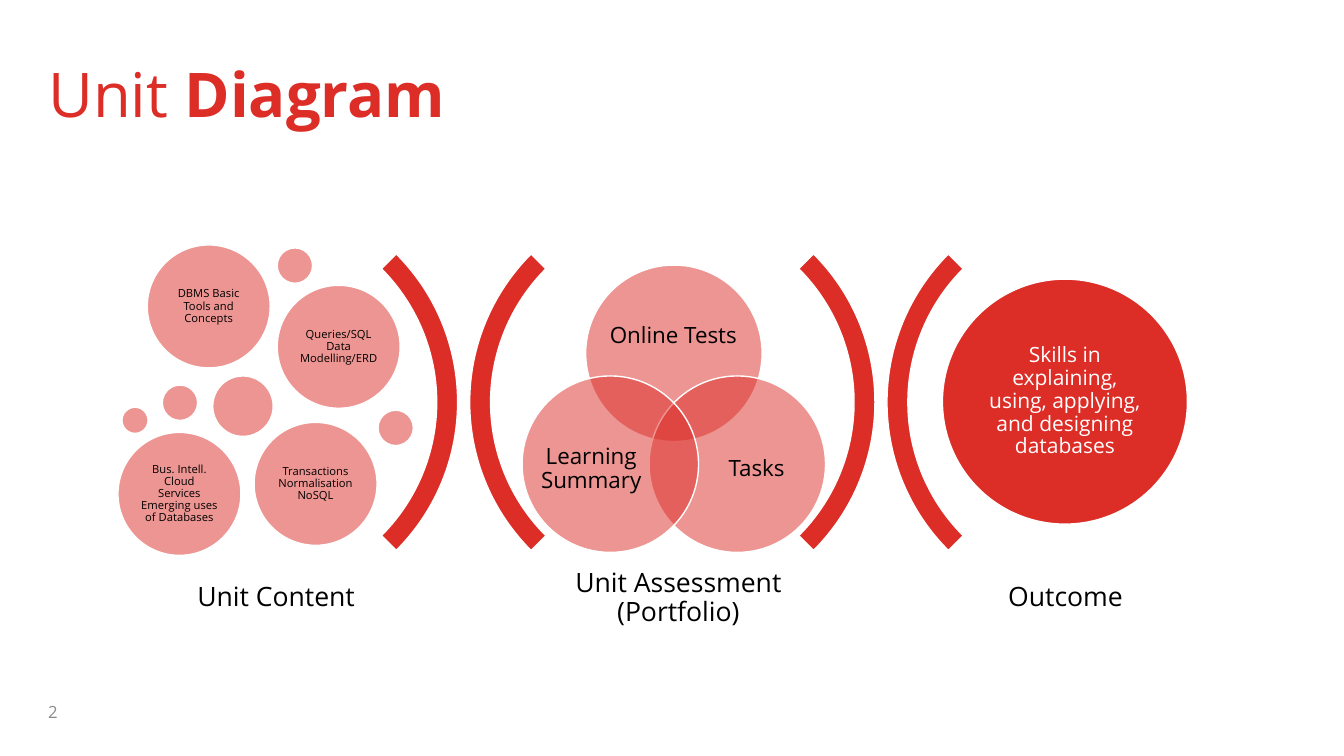
from dataclasses import dataclass

from lxml import etree
from pptx import Presentation
from pptx.dml.color import RGBColor
from pptx.enum.shapes import MSO_SHAPE as Preset
from pptx.enum.text import MSO_ANCHOR as Anchor, MSO_AUTO_SIZE as AutoSize, PP_ALIGN as Align
from pptx.oxml.ns import qn
from pptx.util import Inches, Pt

RED, BLACK, WHITE, GREY = "DC2D27", "000000", "FFFFFF", "8C8C8C"
FONT = "Open Sans"
TITLE_ONLY = 5
SLIDE_WIDTH, SLIDE_HEIGHT = Inches(13.333), Inches(7.5)


@dataclass
class Box:
    """A rectangle in percent of the slide's width (left, width) and height (top, height)."""
    left: float
    top: float
    width: float
    height: float


@dataclass
class Circle:
    """A circle with its centre in percent of the slide, its diameter in percent of its width."""
    x: float
    y: float
    diameter: float
    text: str = ""
    size: float = 8
    inset: float = 0.03
    text_color: str = BLACK
    opacity: int = 50


@dataclass
class Caption:
    text: str
    box: Box
    size: float
    inset: float = 0


@dataclass
class Bracket:
    x: float
    rotation: int


BRACKET_Y, BRACKET_DIAMETER = 53.2, 31.2
BRACKETS = [Bracket(18.45, 90), Bracket(50.55, 270), Bracket(49.5, 90), Bracket(81.6, 270)]

STAGES = [
    Caption(text, Box(left, 73.6, 23.7, 11.07), 19, 0.08)
    for text, left in [("Unit Content", 8.7), ("Unit Assessment (Portfolio)", 38.63), ("Outcome", 67.43)]
]

VENN_DIAMETER = 13.13
ASSESSMENT = [
    (Circle(50.14, 46.73, VENN_DIAMETER), Caption("Online Tests", Box(45.3, 39.2, 9.6, 10.53), 16)),
    (Circle(54.86, 61.4, VENN_DIAMETER), Caption("Tasks", Box(52.35, 55.73, 7.88, 12.8), 16)),
    (Circle(45.41, 61.4, VENN_DIAMETER), Caption("Learning Summary", Box(40.05, 55.73, 7.88, 12.8), 16)),
]

TOPIC, SMALL, MEDIUM, TINY = 9.15, 2.63, 4.5, 1.95
CONTENT = [
    Circle(15.53, 40.53, TOPIC, "DBMS Basic Tools and Concepts"),
    Circle(25.2, 45.87, TOPIC, "Queries/SQL\nData Modelling/ERD"),
    Circle(13.35, 65.33, TOPIC, "Bus. Intell.\nCloud\nServices Emerging uses of Databases"),
    Circle(23.48, 64, TOPIC, "Transactions\nNormalisation\nNoSQL"),
    Circle(13.39, 53.27, SMALL),
    Circle(21.94, 35.13, SMALL),
    Circle(29.44, 56.6, SMALL),
    Circle(18.08, 53.73, MEDIUM),
    Circle(10.05, 55.6, TINY),
]
OUTCOME = Circle(79.24, 53.13, 18.23, "Skills in explaining, using, applying, and designing databases",
                 15, 0.06, WHITE, 100)


def color(value: str) -> RGBColor:
    return RGBColor.from_string(value)


def across(percent: float) -> int:
    return round(SLIDE_WIDTH * percent / 100)


def down(percent: float) -> int:
    return round(SLIDE_HEIGHT * percent / 100)


def place(box: Box) -> tuple[int, int, int, int]:
    return across(box.left), down(box.top), across(box.width), down(box.height)


def style_run(run, size: float, text_color: str, bold: bool = False) -> None:
    run.font.name = FONT
    run.font.size = Pt(size)
    run.font.bold = bold
    run.font.color.rgb = color(text_color)


def write_centred(shape, text: str, size: float, inset: float, text_color: str = BLACK) -> None:
    frame = shape.text_frame
    frame.word_wrap = True
    frame.vertical_anchor = Anchor.MIDDLE
    frame.margin_left = frame.margin_right = frame.margin_top = frame.margin_bottom = Inches(inset)
    frame.text = text
    for paragraph in frame.paragraphs:
        paragraph.alignment = Align.CENTER
        paragraph.line_spacing = 0.9
        for run in paragraph.runs:
            style_run(run, size, text_color)


def add_round(slide, preset: Preset, x: float, y: float, diameter: float, opacity: int = 100):
    """Add a red, white-edged shape in a square frame around the centre x, y."""
    side = across(diameter)
    shape = slide.shapes.add_shape(preset, across(x) - side // 2, down(y) - side // 2, side, side)
    shape.shadow.inherit = False
    shape.fill.solid()
    shape.fill.fore_color.rgb = color(RED)
    if opacity < 100:
        rgb = shape.fill._xPr.find(qn("a:solidFill")).find(qn("a:srgbClr"))
        etree.SubElement(rgb, qn("a:alpha")).set("val", str(opacity * 1000))
    shape.line.color.rgb = color(WHITE)
    shape.line.width = Pt(1)
    return shape


def add_circle(slide, circle: Circle) -> None:
    shape = add_round(slide, Preset.OVAL, circle.x, circle.y, circle.diameter, circle.opacity)
    if circle.text:
        write_centred(shape, circle.text, circle.size, circle.inset, circle.text_color)


def add_caption(slide, caption: Caption) -> None:
    textbox = slide.shapes.add_textbox(*place(caption.box))
    write_centred(textbox, caption.text, caption.size, caption.inset)


def add_bracket(slide, bracket: Bracket) -> None:
    arc = add_round(slide, Preset.BLOCK_ARC, bracket.x, BRACKET_Y, BRACKET_DIAMETER)
    for index, value in enumerate((135, 189, 0.05)):
        arc.adjustments[index] = value
    arc.rotation = bracket.rotation


def add_title(slide) -> None:
    title = slide.shapes.title
    title.left, title.top, title.width, title.height = place(Box(2.85, 2.67, 94.35, 19.33))
    frame = title.text_frame
    frame.auto_size = AutoSize.NONE
    frame.vertical_anchor = Anchor.MIDDLE
    frame.text = "Unit "
    paragraph = frame.paragraphs[0]
    paragraph.alignment = Align.LEFT
    paragraph.add_run().text = "Diagram"
    for run, bold in zip(paragraph.runs, (False, True)):
        style_run(run, 44, RED, bold)


def add_page_number(slide) -> None:
    textbox = slide.shapes.add_textbox(*place(Box(2.85, 90.13, 22.5, 8)))
    textbox.text_frame.word_wrap = True
    textbox.text_frame.vertical_anchor = Anchor.MIDDLE
    textbox.text_frame.text = "2"
    style_run(textbox.text_frame.paragraphs[0].runs[0], 12, GREY)


def main() -> None:
    presentation = Presentation()
    presentation.slide_width, presentation.slide_height = SLIDE_WIDTH, SLIDE_HEIGHT
    slide = presentation.slides.add_slide(presentation.slide_layouts[TITLE_ONLY])
    add_title(slide)
    for bracket in BRACKETS:
        add_bracket(slide, bracket)
    for circle, caption in ASSESSMENT:
        add_circle(slide, circle)
        add_caption(slide, caption)
    for circle in [*CONTENT, OUTCOME]:
        add_circle(slide, circle)
    for stage in STAGES:
        add_caption(slide, stage)
    add_page_number(slide)
    presentation.save("out.pptx")


if __name__ == "__main__":
    main()
